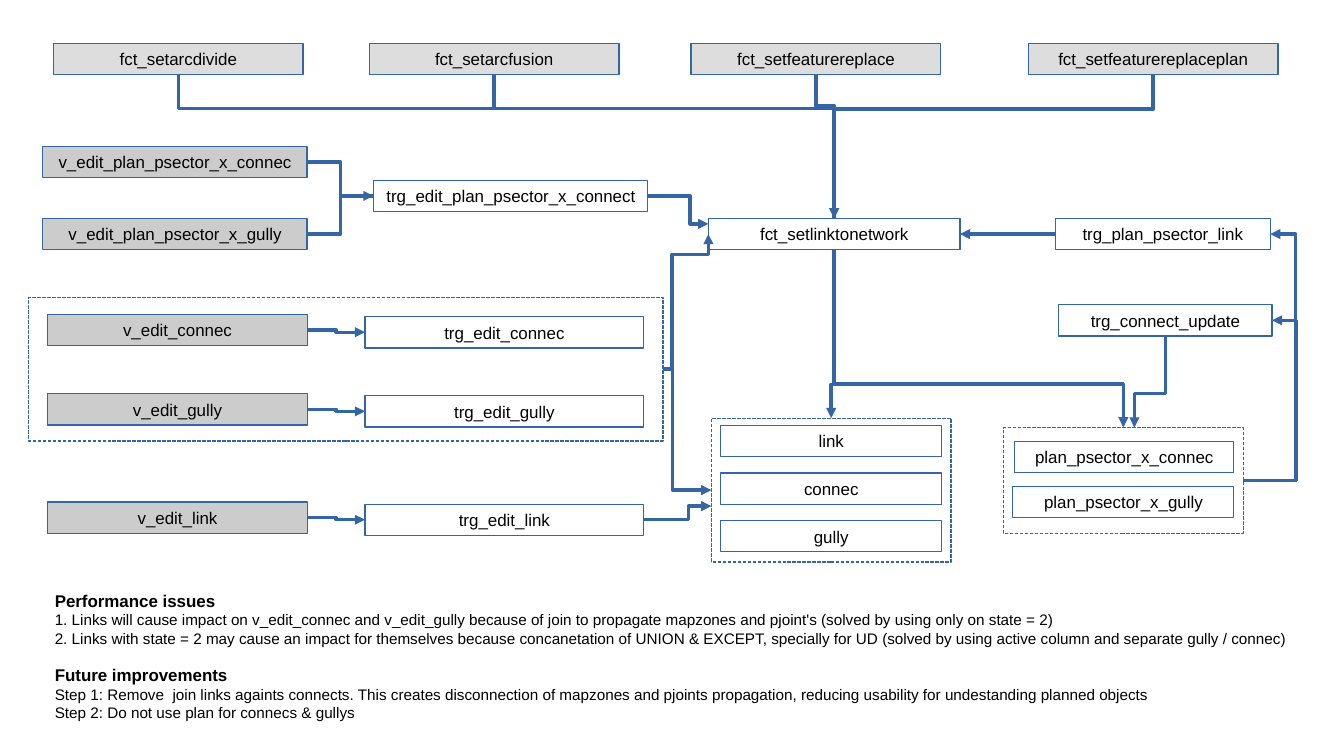
from lxml import etree
from pptx import Presentation
from pptx.dml.color import RGBColor
from pptx.enum.dml import MSO_LINE
from pptx.enum.shapes import MSO_CONNECTOR, MSO_SHAPE
from pptx.enum.text import MSO_ANCHOR, PP_ALIGN
from pptx.oxml.ns import qn
from pptx.util import Pt

BLUE, BLACK = "3465A4", "000000"
PALE, GRAY = "DDDDDD", "CCCCCC"
BOX_H = 18.5
TOP, LEFT, BOTTOM, RIGHT = range(4)

# Name, left, top, width, fill
BOXES = [
    ("fct_setarcdivide", 31.5, 25.5, 147.5, PALE),
    ("fct_setarcfusion", 218, 25.5, 147.5, PALE),
    ("fct_setfeaturereplace", 408, 25.5, 147.5, PALE),
    ("fct_setfeaturereplaceplan", 607, 25.5, 147.5, PALE),
    ("v_edit_plan_psector_x_connec", 25.25, 86.5, 156, GRAY),
    ("v_edit_plan_psector_x_gully", 25.25, 129, 156, GRAY),
    ("trg_edit_plan_psector_x_connect", 220.5, 106.5, 162, None),
    ("fct_setlinktonetwork", 418.25, 129, 148.5, None),
    ("trg_plan_psector_link", 623, 129, 127, None),
    ("trg_connect_update", 625, 180, 126, None),
    ("plan_psector_x_connec", 599, 260.75, 129.5, None),
    ("plan_psector_x_gully", 598, 287.25, 130.5, None),
]
EDIT_ROWS = [("connec", 185.75), ("gully", 232.5), ("link", 296.5)]
TABLES = ["link", "connec", "gully"]
GROUPS = [
    ("edit group", 17, 175.5, 374.5, 85),
    ("table group", 420, 247, 141.5, 85),
    ("plan group", 592.5, 252.5, 141.5, 62.5),
]

# Start, end, position of the middle segment, arrow; an end is name, side, shift
NETWORK = ("fct_setlinktonetwork", TOP, 0)
PLAN_TRIGGER = ("trg_edit_plan_psector_x_connect", LEFT, 0)
ROUTES = [
    (("fct_setfeaturereplaceplan", BOTTOM, 0), NETWORK, 64.5, True),
    (("fct_setarcfusion", BOTTOM, 0), NETWORK, 64, False),
    (("fct_setarcdivide", BOTTOM, 0), NETWORK, 64, False),
    (("fct_setfeaturereplace", BOTTOM, 0), NETWORK, 62.5, False),
    (("v_edit_plan_psector_x_connec", RIGHT, 0), PLAN_TRIGGER, 201, False),
    (("v_edit_plan_psector_x_gully", RIGHT, 0), PLAN_TRIGGER, 201, True),
    (("trg_edit_plan_psector_x_connect", RIGHT, 0),
     ("fct_setlinktonetwork", LEFT, -6), 407.5, True),
    (("plan group", RIGHT, 0), ("trg_connect_update", RIGHT, 0), 765.5, True),
    (("plan group", RIGHT, 0), ("trg_plan_psector_link", RIGHT, 0), 765, True),
    (("trg_connect_update", BOTTOM, 0), ("plan group", TOP, 6.5), 232.25, True),
    (("fct_setlinktonetwork", BOTTOM, 0), ("plan group", TOP, 0), 227, True),
    (("fct_setlinktonetwork", BOTTOM, 0), ("table group", TOP, 0), 227, True),
    (("trg_edit_link", RIGHT, 0), ("table group", LEFT, 9.5), 406.5, True),
    (("edit group", RIGHT, 0), ("table group", LEFT, 0), 397, True),
]

NOTES = [
    ("Performance issues", [
        "1. Links will cause impact on v_edit_connec and v_edit_gully because of join to "
        "propagate mapzones and pjoint's (solved by using only on state = 2)",
        "2. Links with state = 2 may cause an impact for themselves because concanetation of "
        "UNION & EXCEPT, specially for UD (solved by using active column and separate "
        "gully / connec)"]),
    ("Future improvements", [
        "Step 1: Remove  join links againts connects. This creates disconnection of mapzones "
        "and pjoints propagation, reducing usability for undestanding planned objects",
        "Step 2: Do not use plan for connecs & gullys"]),
]


def rgb(value):
    return RGBColor.from_string(value)


def add_run(p, text, size, bold=False):
    r = p.add_run()
    r.text = text
    r.font.name = "Arial"
    r.font.size = Pt(size)
    r.font.bold = bold
    r.font.color.rgb = rgb(BLACK)


def add_rect(slide, x, y, w, h, fill=None, weight=0):
    sp = slide.shapes.add_shape(MSO_SHAPE.RECTANGLE, Pt(x), Pt(y), Pt(w), Pt(h))
    sp.shadow.inherit = False
    if fill:
        sp.fill.solid()
        sp.fill.fore_color.rgb = rgb(fill)
    else:
        sp.fill.background()
    sp.line.color.rgb = rgb(BLUE)
    sp.line.width = Pt(weight)
    return sp


def add_box(slide, name, x, y, w, fill):
    sp = add_rect(slide, x, y, w, BOX_H, fill)
    tf = sp.text_frame
    tf.word_wrap = False
    tf.vertical_anchor = MSO_ANCHOR.MIDDLE
    p = tf.paragraphs[0]
    p.alignment = PP_ALIGN.CENTER
    add_run(p, name, 10)
    return sp


def add_group(slide, x, y, w, h):
    sp = add_rect(slide, x, y, w, h, weight=0.75)
    sp.line.dash_style = MSO_LINE.SQUARE_DOT
    return sp


def add_line(slide, kind, start, end, arrow=True):
    cx = slide.shapes.add_connector(kind, *(Pt(v) for v in (*start, *end)))
    cx.line.color.rgb = rgb(BLUE)
    cx.line.width = Pt(0)
    if arrow:
        etree.SubElement(cx.line._get_or_add_ln(), qn("a:tailEnd"), type="triangle")
    etree.SubElement(cx._element.spPr, qn("a:effectLst"))
    return cx


def set_bends(cx, preset, *ratios):
    geom = cx._element.spPr.find(qn("a:prstGeom"))
    geom.set("prst", preset)
    guides = geom.get_or_add_avLst()
    for i, ratio in enumerate(ratios, 1):
        name = f"adj{i}" if len(ratios) > 1 else "adj1"
        etree.SubElement(guides, qn("a:gd"), name=name, fmla=f"val {round(ratio * 100000)}")


def port(sp, side, shift):
    """Point in the middle of a side, moved along that side by shift."""
    x, y, w, h = (v.pt for v in (sp.left, sp.top, sp.width, sp.height))
    if side in (TOP, BOTTOM):
        return x + w / 2 + shift, y + (h if side == BOTTOM else 0)
    return x + (w if side == RIGHT else 0), y + h / 2 + shift


def add_elbow(slide, start, end, middle, vertical, arrow=True):
    """Three-part elbow; a vertical one is laid flat around its centre, then turned."""
    axis = 1 if vertical else 0
    ratio = (middle - start[axis]) / (end[axis] - start[axis])
    turn = 0
    if vertical:
        mx, my = (start[0] + end[0]) / 2, (start[1] + end[1]) / 2
        turn, sign = (90, 1) if end[0] < start[0] else (270, -1)
        start, end = ((mx + sign * (y - my), my - sign * (x - mx)) for x, y in (start, end))
    cx = add_line(slide, MSO_CONNECTOR.ELBOW, start, end, arrow)
    set_bends(cx, "bentConnector3", ratio)
    if turn:
        cx._element.spPr.xfrm.set("rot", str(turn * 60000))


def add_notes_text(slide):
    tf = slide.shapes.add_textbox(Pt(25.25), Pt(345), Pt(768), Pt(101)).text_frame
    tf.word_wrap = True
    p = tf.paragraphs[0]
    for i, (title, items) in enumerate(NOTES):
        if i:
            p = tf.add_paragraph()
            p.space_before = Pt(10.5)
        add_run(p, title, 10, True)
        for item in items:
            add_run(tf.add_paragraph(), item, 9)


def main():
    prs = Presentation()
    prs.slide_width, prs.slide_height = Pt(793.5), Pt(446.5)
    slide = prs.slides.add_slide(prs.slide_layouts[6])

    nodes = {name: add_group(slide, *place) for name, *place in GROUPS}
    for name, *place in BOXES:
        nodes[name] = add_box(slide, name, *place)
    for i, name in enumerate(TABLES):
        add_box(slide, name, 425.5, 251.25 + 28.1 * i, 130.5, None)
    for name, y in EDIT_ROWS:
        view = add_box(slide, f"v_edit_{name}", 28, y, 153.5, GRAY)
        trigger = add_box(slide, f"trg_edit_{name}", 215.5, y + 1.25, 164.5, None)
        nodes[f"trg_edit_{name}"] = trigger
        add_elbow(slide, port(view, RIGHT, 0), port(trigger, LEFT, 0), 198.5, False)

    for (first, side, shift), (last, last_side, last_shift), middle, arrow in ROUTES:
        add_elbow(slide, port(nodes[first], side, shift),
                  port(nodes[last], last_side, last_shift),
                  middle, side in (TOP, BOTTOM), arrow)

    network, link = nodes["fct_setlinktonetwork"], nodes["trg_plan_psector_link"]
    cx = add_line(slide, MSO_CONNECTOR.STRAIGHT, port(link, LEFT, 0), port(network, RIGHT, 0))
    cx.begin_connect(link, LEFT)
    cx.end_connect(network, RIGHT)
    cx = add_line(slide, MSO_CONNECTOR.ELBOW, port(nodes["edit group"], RIGHT, 0),
                  port(network, LEFT, 0))
    set_bends(cx, "bentConnector4", 0.2, 0.85)

    add_notes_text(slide)
    prs.save("out.pptx")


if __name__ == "__main__":
    main()
